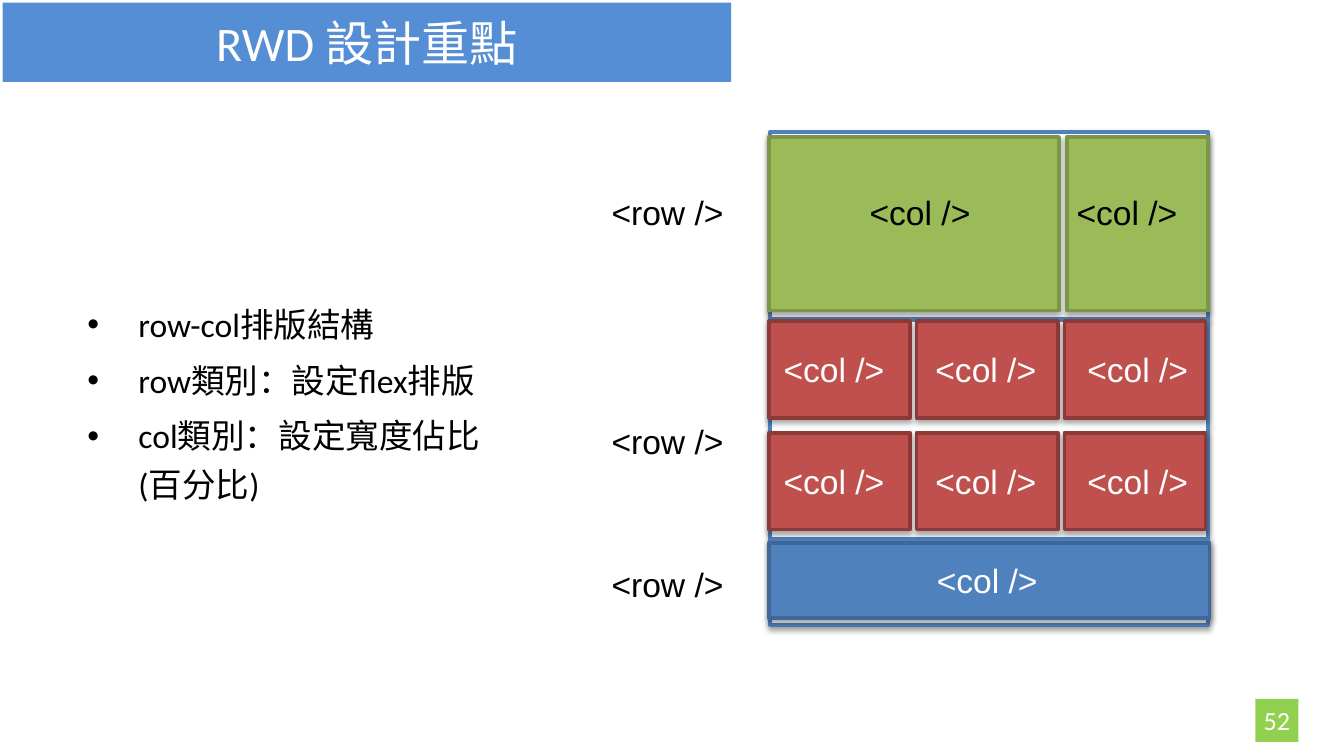
import lxml.etree
import pptx
import pptx.dml.color
import pptx.enum.shapes
import pptx.enum.text
import pptx.oxml.ns
import pptx.util

Inches = pptx.util.Inches
Pt = pptx.util.Pt
qn = pptx.oxml.ns.qn
ALIGN = pptx.enum.text.PP_ALIGN
ANCHOR = pptx.enum.text.MSO_ANCHOR

COLORS = {
    "title": "558ED5",
    "page": "92D050",
    "white": "FFFFFF",
    "black": "000000",
    "blue": "4F81BD",
    "blue_line": "3F6797",
    "green": "9BBB59",
    "green_line": "7C9647",
    "red": "C0504D",
    "red_line": "8C3A38",
}
BULLETS = ["row-col排版結構", "row類別：設定flex排版", "col類別：設定寬度佔比(百分比)"]
LABEL_SIZE = (1.01, 0.4)
GRID_LEFT = 5.72


def color(name):
    return pptx.dml.color.RGBColor.from_string(COLORS[name])


def place(shape, left, top, width, height):
    shape.left, shape.top = Inches(left), Inches(top)
    shape.width, shape.height = Inches(width), Inches(height)


def set_text(shape, lines, size=18, font="Arial", ink="black", align=ALIGN.LEFT,
             anchor=ANCHOR.TOP, wrap=True, bullet=False):
    """Fill a shape with one paragraph per line, all in one format."""
    frame = shape.text_frame
    frame.text = "\n".join(lines)
    frame.auto_size = pptx.enum.text.MSO_AUTO_SIZE.NONE
    frame.word_wrap = wrap
    frame.vertical_anchor = anchor
    frame.margin_left = frame.margin_right = Inches(0.05)
    frame.margin_top = frame.margin_bottom = Inches(0.05)
    for index, paragraph in enumerate(frame.paragraphs):
        paragraph.alignment = align
        if bullet:
            add_bullet(paragraph)
            paragraph.line_spacing = 1.2
            paragraph.space_before = Pt(4 if index else 0)
        paragraph.font.size = Pt(size)
        paragraph.font.name = font
        paragraph.font.color.rgb = color(ink)


def add_bullet(paragraph):
    properties = paragraph._p.get_or_add_pPr()
    properties.set("marL", str(Inches(0.38)))
    properties.set("indent", str(-Inches(0.38)))
    lxml.etree.SubElement(properties, qn("a:buFont"), typeface="Arial")
    lxml.etree.SubElement(properties, qn("a:buChar"), char="•")


def add_shadow(shape):
    effects = shape._element.spPr.find(qn("a:effectLst"))
    shadow = lxml.etree.SubElement(
        effects, qn("a:outerShdw"), blurRad=str(Pt(3)), dist=str(Pt(1.8)),
        dir="5400000", rotWithShape="0")
    shade = lxml.etree.SubElement(shadow, qn("a:srgbClr"), val=COLORS["black"])
    lxml.etree.SubElement(shade, qn("a:alpha"), val="35000")


def add_box(slide, left, top, width, height, fill, line=None):
    """Add a rectangle; an outlined one also casts a shadow."""
    box = slide.shapes.add_shape(
        pptx.enum.shapes.MSO_SHAPE.RECTANGLE,
        Inches(left), Inches(top), Inches(width), Inches(height))
    box.fill.solid()
    box.fill.fore_color.rgb = color(fill)
    box.shadow.inherit = False
    if line:
        box.line.color.rgb = color(line)
        box.line.width = Pt(2)
        add_shadow(box)
    else:
        box.line.fill.background()
    return box


def add_text(slide, lines, left, top, width, height, **text_format):
    box = slide.shapes.add_textbox(
        Inches(left), Inches(top), Inches(width), Inches(height))
    set_text(box, lines, **text_format)


def add_title(slide):
    title = slide.shapes.title
    place(title, 0.02, 0.02, 5.42, 0.59)
    title.fill.solid()
    title.fill.fore_color.rgb = color("title")
    set_text(title, ["RWD 設計重點"], size=25.8, font="Calibri", ink="white",
             align=ALIGN.CENTER, anchor=ANCHOR.MIDDLE)


def add_page_number(slide):
    page = add_box(slide, 9.34, 5.2, 0.32, 0.32, "page")
    set_text(page, ["52"], size=14, font="Calibri", ink="white",
             align=ALIGN.CENTER, anchor=ANCHOR.MIDDLE, wrap=False)


def add_rows(slide):
    rows = [(0.98, 1.39, 1.38), (2.38, 1.63, 3.08), (4.02, 0.63, 4.15)]
    for top, height, _ in rows:
        add_box(slide, 5.73, top, 3.26, height, "white", "blue")
    for _, _, label_top in rows:
        add_text(slide, ["<row />"], 4.5, label_top, *LABEL_SIZE)


def add_column(slide, left, top, width, height, fill):
    add_box(slide, left, top, width, height, fill, fill + "_line")


def add_column_label(slide, left, top, ink="white"):
    add_text(slide, ["<col />"], left, top, *LABEL_SIZE, ink=ink)


def add_columns(slide):
    for left, width, label_left in [(GRID_LEFT, 2.16, 6.42), (7.94, 1.05, 7.96)]:
        add_column(slide, left, 1.02, width, 1.29, "green")
        add_column_label(slide, label_left, 1.38, ink="black")

    cells = [(row, column) for row in range(2) for column in range(3)]
    for row, column in cells:
        add_column(slide, GRID_LEFT + 1.1 * column, 2.39 + 0.83 * row, 1.05, 0.72, "red")
    for row, column in cells:
        add_column_label(slide, 5.78 + 1.13 * column, 2.55 + 0.83 * row)

    add_column(slide, GRID_LEFT, 4.04, 3.28, 0.56, "blue")
    add_column_label(slide, 6.92, 4.12)


def main():
    presentation = pptx.Presentation()
    presentation.slide_width = Inches(10)
    presentation.slide_height = Inches(10) * 9 // 16
    slide = presentation.slides.add_slide(presentation.slide_layouts[5])
    add_title(slide)
    add_text(slide, BULLETS, 0.6, 1.31, 3.19, 3.33, font="Calibri",
             anchor=ANCHOR.MIDDLE, bullet=True)
    add_page_number(slide)
    add_rows(slide)
    add_columns(slide)
    presentation.save("out.pptx")


if __name__ == "__main__":
    main()
